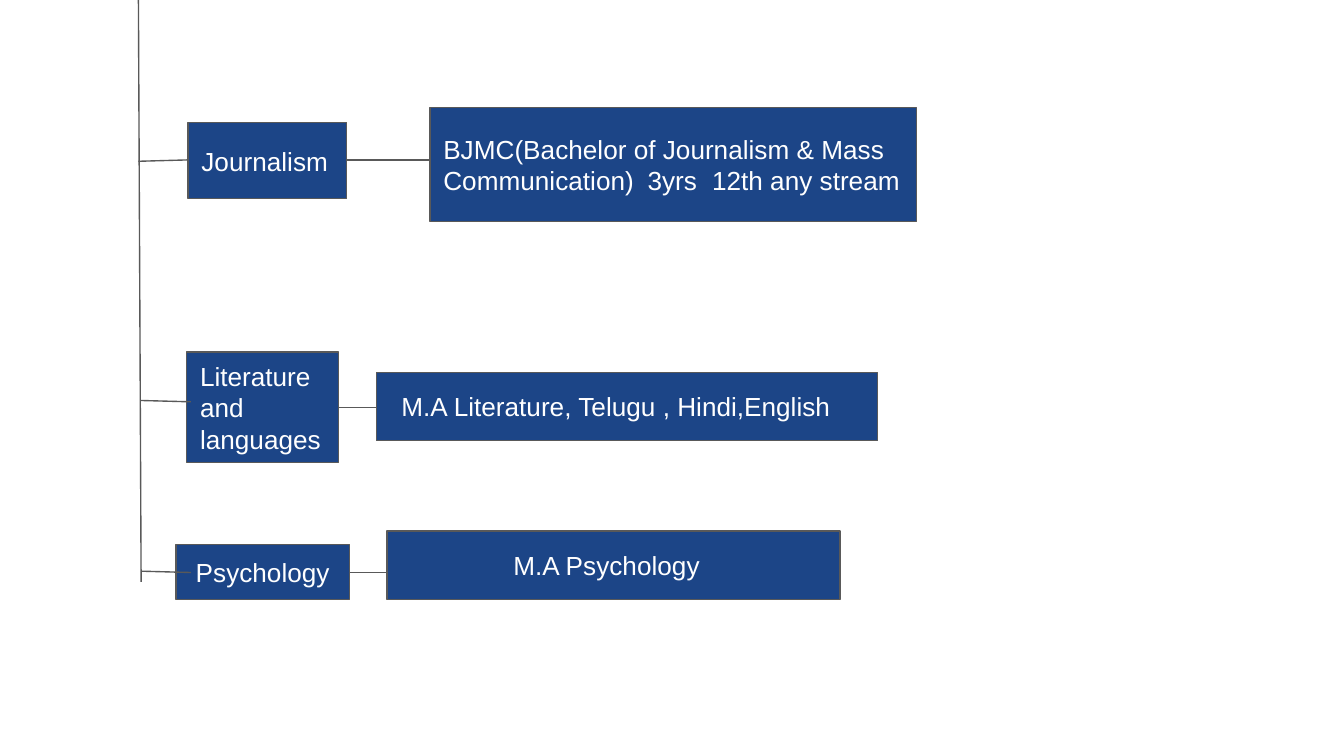
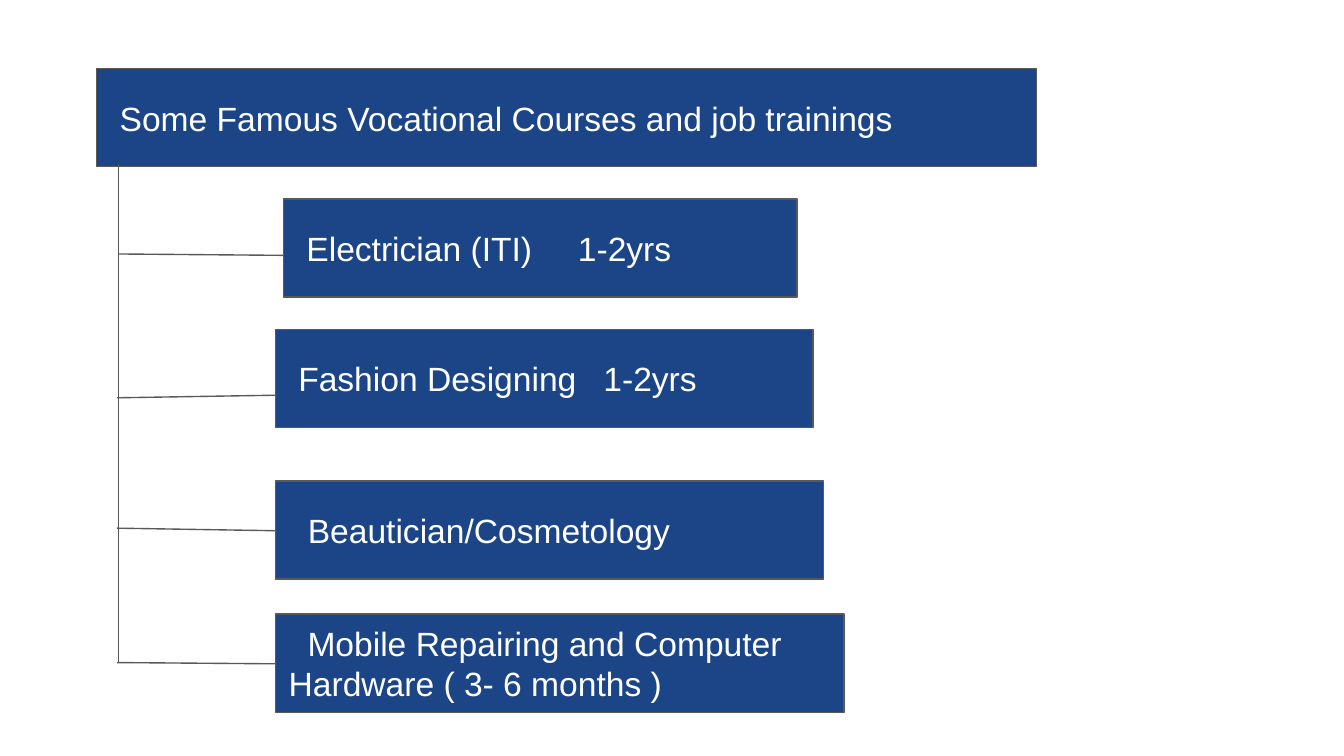
"""Build two slides of course trees: boxes on a spine joined by thin lines."""
from lxml import etree
from pptx import Presentation
from pptx.dml.color import RGBColor
from pptx.enum import shapes, text
from pptx.oxml import ns
from pptx.util import Inches, Pt

COLORS = {"box": "1C4587", "line": "595959", "text": "FFFFFF"}
FONT = "Arial"
INSET = 0.1
CENTER = text.PP_ALIGN.CENTER

SLIDES = [
    {
        "layout": 6,
        "size": 14,
        "lines_on_top": True,
        "boxes": [
            {"text": "Journalism", "at": (1.4, 0.91, 1.18, 0.57)},
            {"text": "BJMC(Bachelor of Journalism & Mass Communication)\t3yrs\t12th any stream",
             "at": (3.2, 0.8, 3.62, 0.85), "tabs": (1.52, 2.0)},
            {"text": "Literature and languages", "at": (1.39, 2.62, 1.13, 0.82)},
            {"text": "M.A Literature, Telugu , Hindi,English", "at": (2.8, 2.77, 3.73, 0.51),
             "align": CENTER, "right": 0.26},
            {"text": "Psychology", "at": (1.31, 4.05, 1.29, 0.41), "align": CENTER},
            {"text": "M.A Psychology", "at": (2.88, 3.95, 3.37, 0.51),
             "align": CENTER, "right": 0.2},
        ],
        "lines": [
            (1.03, 0, 1.05, 4.33),
            (1.03, 1.2, 1.4, 1.19), (2.58, 1.19, 3.2, 1.19),
            (1.05, 2.98, 1.42, 2.99), (2.52, 3.03, 2.8, 3.03),
            (1.05, 4.25, 1.42, 4.26), (2.6, 4.26, 2.88, 4.26),
        ],
    },
    {
        "layout": 5,
        "size": 18,
        "lines_on_top": False,
        "title": {"text": "Some Famous Vocational Courses and job trainings",
                  "at": (0.72, 0.51, 6.99, 0.73), "left": 0.17},
        "boxes": [
            {"text": "Electrician (ITI)\t1-2yrs", "at": (2.11, 1.48, 3.82, 0.73),
             "left": 0.17, "tabs": (2.02,)},
            {"text": "Fashion Designing\t1-2yrs", "at": (2.05, 2.45, 4, 0.73),
             "left": 0.17, "tabs": (2.27,)},
            {"text": "Beautician/Cosmetology", "at": (2.05, 3.58, 4.08, 0.73), "left": 0.24},
            {"text": "Mobile Repairing and Computer Hardware ( 3- 6 months )",
             "at": (2.05, 4.57, 4.23, 0.73), "indent": 0.14},
        ],
        "lines": [
            (0.88, 1.22, 0.88, 4.93),
            (0.88, 1.89, 2.11, 1.9), (0.87, 2.96, 2.11, 2.94),
            (0.87, 3.93, 2.11, 3.95), (0.87, 4.93, 2.12, 4.94),
        ],
    },
]


def color(name):
    return RGBColor.from_string(COLORS[name])


def style_line(line):
    line.color.rgb = color("line")
    line.width = Pt(0.75)


def set_indent_and_tabs(paragraph, box):
    properties = paragraph._p.get_or_add_pPr()
    if "indent" in box:
        properties.set("indent", str(Inches(box["indent"])))
    if "tabs" in box:
        tab_list = etree.SubElement(properties, ns.qn("a:tabLst"))
        for position in box["tabs"]:
            etree.SubElement(tab_list, ns.qn("a:tab"), pos=str(Inches(position)), algn="l")


def style_box(shape, box, size):
    shape.left, shape.top, shape.width, shape.height = map(Inches, box["at"])
    shape.fill.solid()
    shape.fill.fore_color.rgb = color("box")
    style_line(shape.line)
    frame = shape.text_frame
    frame.text = box["text"]
    frame.word_wrap = True
    frame.auto_size = text.MSO_AUTO_SIZE.NONE
    frame.vertical_anchor = text.MSO_ANCHOR.MIDDLE
    frame.margin_top = frame.margin_bottom = Inches(INSET)
    frame.margin_left = Inches(box.get("left", INSET))
    frame.margin_right = Inches(box.get("right", INSET))
    paragraph = frame.paragraphs[0]
    paragraph.alignment = box.get("align", text.PP_ALIGN.LEFT)
    set_indent_and_tabs(paragraph, box)
    for run in paragraph.runs:
        run.font.name = FONT
        run.font.size = Pt(size)
        run.font.color.rgb = color("text")


def add_boxes(slide, content):
    for box in content["boxes"]:
        shape = slide.shapes.add_shape(shapes.MSO_SHAPE.RECTANGLE, *map(Inches, box["at"]))
        shape.shadow.inherit = False
        style_box(shape, box, content["size"])


def add_lines(slide, content):
    for ends in content["lines"]:
        connector = slide.shapes.add_connector(shapes.MSO_CONNECTOR.STRAIGHT, *map(Inches, ends))
        style_line(connector.line)
        etree.SubElement(connector._element.spPr, ns.qn("a:effectLst"))


def main():
    presentation = Presentation()
    presentation.slide_width = Inches(10)
    presentation.slide_height = presentation.slide_width * 9 // 16
    for content in SLIDES:
        slide = presentation.slides.add_slide(presentation.slide_layouts[content["layout"]])
        if "title" in content:
            style_box(slide.shapes.title, content["title"], content["size"])
        steps = (add_boxes, add_lines) if content["lines_on_top"] else (add_lines, add_boxes)
        for step in steps:
            step(slide, content)
    presentation.save("out.pptx")


if __name__ == "__main__":
    main()
